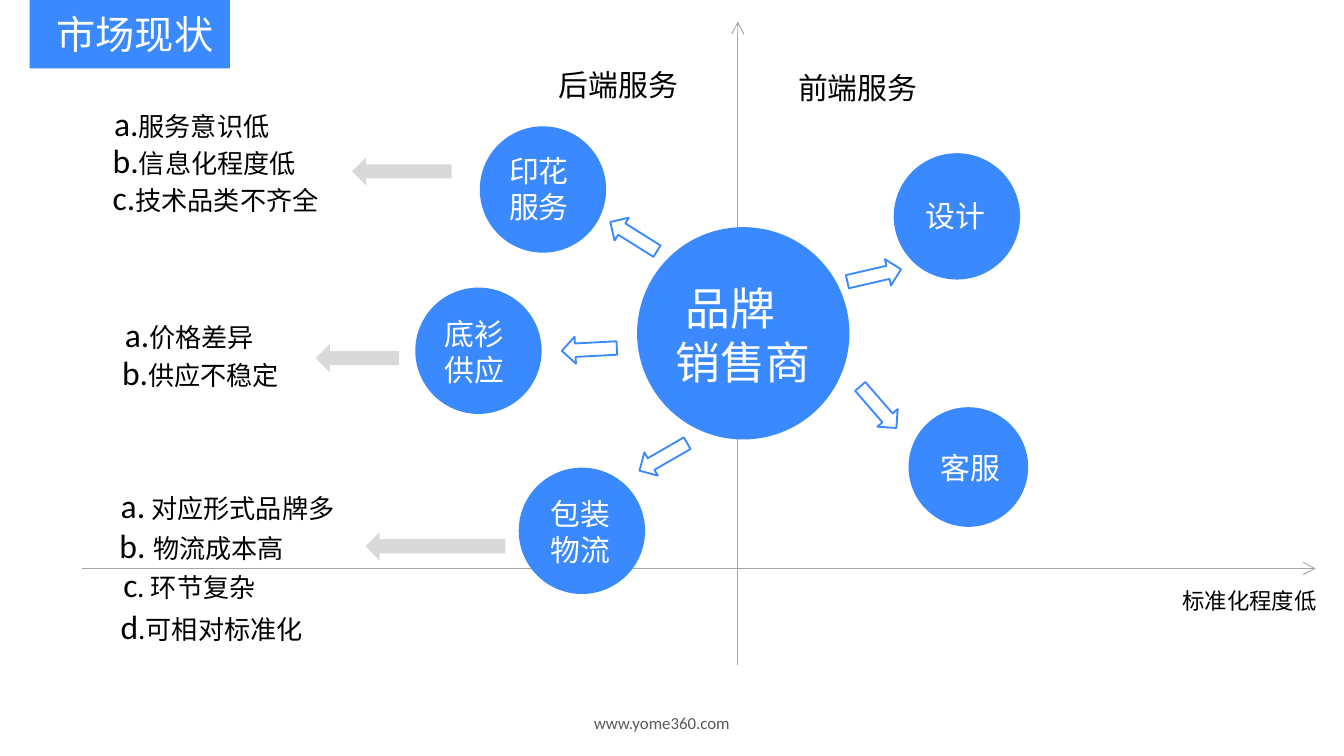
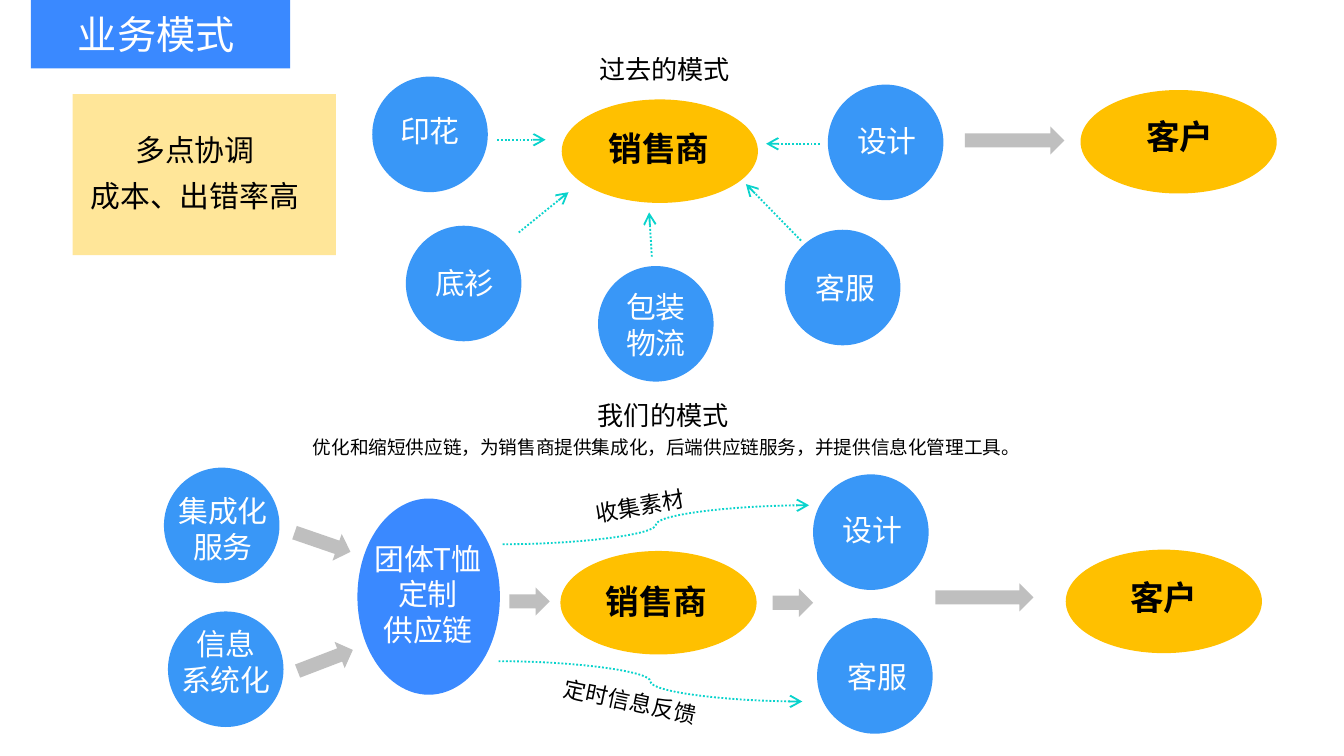
from dataclasses import dataclass

from lxml import etree
from pptx import Presentation
from pptx.dml.color import RGBColor
from pptx.enum.dml import MSO_LINE
from pptx.enum.shapes import MSO_CONNECTOR, MSO_SHAPE
from pptx.enum.text import MSO_ANCHOR, MSO_AUTO_SIZE, PP_ALIGN
from pptx.oxml.ns import qn
from pptx.util import Inches, Pt

OVAL, RECT = MSO_SHAPE.OVAL, MSO_SHAPE.RECTANGLE
RIGHT, LEFT = MSO_SHAPE.RIGHT_ARROW, MSO_SHAPE.LEFT_ARROW
STRAIGHT, CURVE = MSO_CONNECTOR.STRAIGHT, MSO_CONNECTOR.CURVE
DOTTED = MSO_LINE.ROUND_DOT
CENTER = PP_ALIGN.CENTER


@dataclass(frozen=True)
class Theme:
    blue: str = "3A89FF"
    sky: str = "3997F7"
    teal: str = "09D3CC"
    gold: str = "FFC000"
    cream: str = "FFE699"
    axis: str = "A5A5A5"
    pale: str = "D9D9D9"
    grey: str = "BFBFBF"
    footer: str = "595959"
    black: str = "000000"
    white: str = "FFFFFF"
    cjk: str = "Noto Sans CJK SC"
    latin: str = "Calibri"
    title_size: float = 21
    hub_size: float = 24
    strong_size: float = 18
    label_size: float = 16
    body_size: float = 14
    note_size: float = 12
    small_size: float = 10
    footer_size: float = 9


T = Theme()
CELL = Inches(1)  # lengths below are in cells; a 16:9 slide is 10 cells wide
COLUMNS = 10
ROWS = COLUMNS * 9 / 16


def draw(slide, kind, box, fill=None, outline=None, turn=0):
    shape = slide.shapes.add_shape(kind, *(int(n * CELL) for n in box))
    shape.shadow.inherit = False
    shape.rotation = turn
    if fill:
        shape.fill.solid()
        shape.fill.fore_color.rgb = RGBColor.from_string(fill)
    else:
        shape.fill.background()
    if outline:
        shape.line.color.rgb = RGBColor.from_string(outline)
        shape.line.width = Pt(1)
    else:
        shape.line.fill.background()


def write(frame, lines, size, color=T.black, bold=False, align=PP_ALIGN.LEFT, spacing=None):
    """Each line is a string, or a list of (text, size, font) runs."""
    frame.word_wrap = True
    for number, line in enumerate(lines):
        paragraph = frame.add_paragraph() if number else frame.paragraphs[0]
        paragraph.alignment = align
        paragraph.line_spacing = spacing
        runs = [(line, size, T.cjk)] if isinstance(line, str) else line
        for text, run_size, face in runs:
            run = paragraph.add_run()
            run.text = text
            font = run.font
            font.size, font.bold, font.name = Pt(run_size), bold, face
            font.color.rgb = RGBColor.from_string(color)
            east_asian = etree.SubElement(run._r.get_or_add_rPr(), qn("a:ea"))
            east_asian.set("typeface", face)


deck = Presentation()
deck.slide_width, deck.slide_height = int(COLUMNS * CELL), int(ROWS * CELL)

# Title bands
pages = []
for heading, left, width, indent in (("市场现状", 0.22, 1.49, 0.2), ("业务模式", 0.23, 1.93, 0.35)):
    page = deck.slides.add_slide(deck.slide_layouts[5])
    title = page.shapes.title
    title.left, title.top = int(left * CELL), 0
    title.width, title.height = int(width * CELL), int(0.51 * CELL)
    title.fill.solid()
    title.fill.fore_color.rgb = RGBColor.from_string(T.blue)
    frame = title.text_frame
    frame.auto_size = MSO_AUTO_SIZE.NONE
    frame.vertical_anchor = MSO_ANCHOR.MIDDLE
    frame.margin_left, frame.margin_right = int(indent * CELL), 0
    write(frame, [heading], T.title_size, T.white)
    pages.append(page)
market, model = pages

# Axes and dotted flows
axes = [(0.61, 4.23, 9.79, 4.23), (5.49, 4.95, 5.49, 0.16)]
past_flows = [
    (6.1, 1.07, 5.7, 1.07), (5.96, 1.79, 5.55, 1.37), (4.85, 1.91, 4.83, 1.58),
    (3.86, 1.73, 4.23, 1.43), (3.7, 1.04, 4.06, 1.04),
]
our_flows = [(3.74, 4.05, 6.02, 3.76), (3.71, 4.92, 5.97, 5.22)]
for page, route, ends, color, weight, dash in (
    (market, STRAIGHT, axes, T.axis, 0.5, None),
    (model, STRAIGHT, past_flows, T.teal, 1, DOTTED),
    (model, CURVE, our_flows, T.teal, 1, DOTTED),
):
    for end in ends:
        flow = page.shapes.add_connector(route, *(int(n * CELL) for n in end))
        flow.line.color.rgb = RGBColor.from_string(color)
        flow.line.width = Pt(weight)
        flow.line.dash_style = dash
        etree.SubElement(flow.line._get_or_add_ln(), qn("a:tailEnd")).set("type", "arrow")
        etree.SubElement(flow._element.spPr, qn("a:effectLst"))

# Market: services around the seller
draw(market, OVAL, (4.74, 1.69, 1.58, 1.58), T.blue)
services = [
    (["设计"], 6.65, 1.14, 0.94, 6.79, 1.42),
    (["客服"], 6.76, 3.03, 0.89, 6.9, 3.3),
    (["印花", "服务"], 3.57, 0.94, 0.94, 3.69, 1.09),
    (["底衫", "供应"], 3.09, 2.14, 0.94, 3.21, 2.3),
    (["包装", "物流"], 3.86, 3.48, 0.94, 4, 3.64),
]
labels = []  # page, box, lines, size, colour, bold, alignment, line spacing, turn
for lines, left, top, diameter, text_left, text_top in services:
    draw(market, OVAL, (left, top, diameter, diameter), T.blue)
    box = (text_left, text_top, 0.7, 0.13 + 0.26 * len(lines))
    labels.append((market, box, lines, T.label_size, T.white))

for left, top, turn in ((6.3, 1.95, 347), (6.33, 2.93, 49), (4.73, 3.3, 150),
                        (4.18, 2.5, 177), (4.51, 1.66, 212)):
    draw(market, RIGHT, (left, top, 0.41, 0.2), outline=T.blue, turn=turn)
for left, top, width in ((2.62, 1.17, 0.74), (2.35, 2.56, 0.62), (2.72, 3.96, 1.04)):
    draw(market, LEFT, (left, top, width, 0.21), T.pale)

labels += [
    (market, (4.93, 2.04, 1.33, 0.93), [" 品牌", "销售商"], T.hub_size, T.white),
    (market, (4.06, 0.45, 1.2, 0.39), ["后端服务"], T.label_size),
    (market, (5.84, 0.47, 1.2, 0.39), ["前端服务"], T.label_size),
    (market, (8.7, 4.32, 1.26, 0.31), ["标准化程度低"], T.note_size),
    (market, (4.32, 5.25, 1.34, 0.25), [[("www.yome360.com", T.footer_size, T.latin)]],
     T.footer_size, T.footer),
]
issues = [
    (0.75, 0.72, 1.65, "a.", "服务意识低"),
    (0.74, 0.99, 1.65, "b.", "信息化程度低"),
    (0.74, 1.27, 1.85, "c.", "技术品类不齐全"),
    (0.83, 2.29, 1.65, "a.", "价格差异"),
    (0.81, 2.57, 1.85, "b.", "供应不稳定"),
    (0.8, 3.56, 2.29, "a.", " 对应形式品牌多"),
    (0.79, 3.86, 1.65, "b. ", "物流成本高"),
    (0.82, 4.15, 1.85, "c", ". 环节复杂"),
    (0.8, 4.46, 1.85, "d", ".可相对标准化"),
]
for left, top, width, mark, issue in issues:
    line = [(mark, T.strong_size, T.latin), (issue, T.body_size, T.cjk)]
    labels.append((market, (left, top, width, 0.4), [line], T.body_size))

# Model: past and proposed chains
draw(model, RECT, (0.54, 0.7, 1.96, 1.2), T.cream)
draw(model, OVAL, (2.66, 3.71, 1.06, 1.46), T.blue)
parties = [
    (["设计"], 6.16, 0.63, 6.28, 0.86, 0.66),
    (["客服"], 5.84, 1.71, 5.97, 1.96, 0.66),
    (["印花"], 2.77, 0.57, 2.88, 0.79, 0.66),
    (["底衫"], 3.02, 1.68, 3.14, 1.92, 0.66),
    (["包装", "物流"], 4.45, 1.98, 4.55, 2.1, 0.66),
    (["设计"], 6.05, 3.53, 6.17, 3.76, 0.66),
    (["客服"], 6.08, 4.6, 6.21, 4.85, 0.66),
    (["集成化", "服务"], 1.22, 3.48, 1.21, 3.62, 0.9),
    (["信息", "系统化"], 1.25, 4.55, 1.22, 4.61, 0.92),
]
for lines, left, top, text_left, text_top, width in parties:
    draw(model, OVAL, (left, top, 0.86, 0.86), T.sky)
    box = (text_left, text_top, width, 0.13 + 0.26 * len(lines))
    align = CENTER if len(lines) > 1 else PP_ALIGN.LEFT
    labels.append((model, box, lines, T.label_size, T.white, False, align))

for role, left, top, text_left, text_top, width in (
    ("销售商", 4.18, 0.74, 4.43, 0.9, 1.06),
    ("客户", 8.04, 0.67, 8.43, 0.81, 0.81),
    ("销售商", 4.17, 4.1, 4.41, 4.27, 1.06),
    ("客户", 7.93, 4.09, 8.31, 4.24, 0.81),
):
    draw(model, OVAL, (left, top, 1.46, 0.77), T.gold)
    labels.append((model, (text_left, text_top, width, 0.42), [role], T.strong_size, T.black, True))

for left, top, width, turn in (
    (7.18, 0.94, 0.74, 0), (3.79, 4.37, 0.3, 0), (5.75, 4.38, 0.3, 0),
    (6.96, 4.34, 0.73, 0), (2.18, 3.93, 0.44, 19), (2.2, 4.81, 0.44, 339),
):
    draw(model, RIGHT, (left, top, width, 0.21), T.grey, turn=turn)

labels += [
    (model, (4.36, 0.35, 1.23, 0.35), ["过去的模式"], T.body_size),
    (model, (4.35, 2.92, 1.23, 0.35), ["我们的模式"], T.body_size),
    (model, (2.23, 3.19, 5.66, 0.28),
     ["优化和缩短供应链，为销售商提供集成化，后端供应链服务，并提供信息化管理工具。"], T.small_size),
    (model, (0.5, 0.85, 1.9, 0.79), ["多点协调", "成本、出错率高"],
     T.label_size, T.black, False, CENTER, 1.3),
    (model, (2.67, 3.97, 1.03, 0.92), ["团体T恤", "定制", "供应链"],
     T.label_size, T.white, False, CENTER),
    (model, (4.33, 3.61, 0.93, 0.31), ["收集素材"],
     T.note_size, T.black, False, PP_ALIGN.LEFT, None, 350),
    (model, (4.09, 5.09, 1.4, 0.31), ["定时信息反馈"],
     T.note_size, T.black, False, PP_ALIGN.LEFT, None, 12),
]

# All labels lie above the shapes
for page, box, lines, *style in labels:
    label = page.shapes.add_textbox(*(int(n * CELL) for n in box))
    label.rotation = style[5] if len(style) > 5 else 0
    write(label.text_frame, lines, *style[:5])

deck.save("out.pptx")
